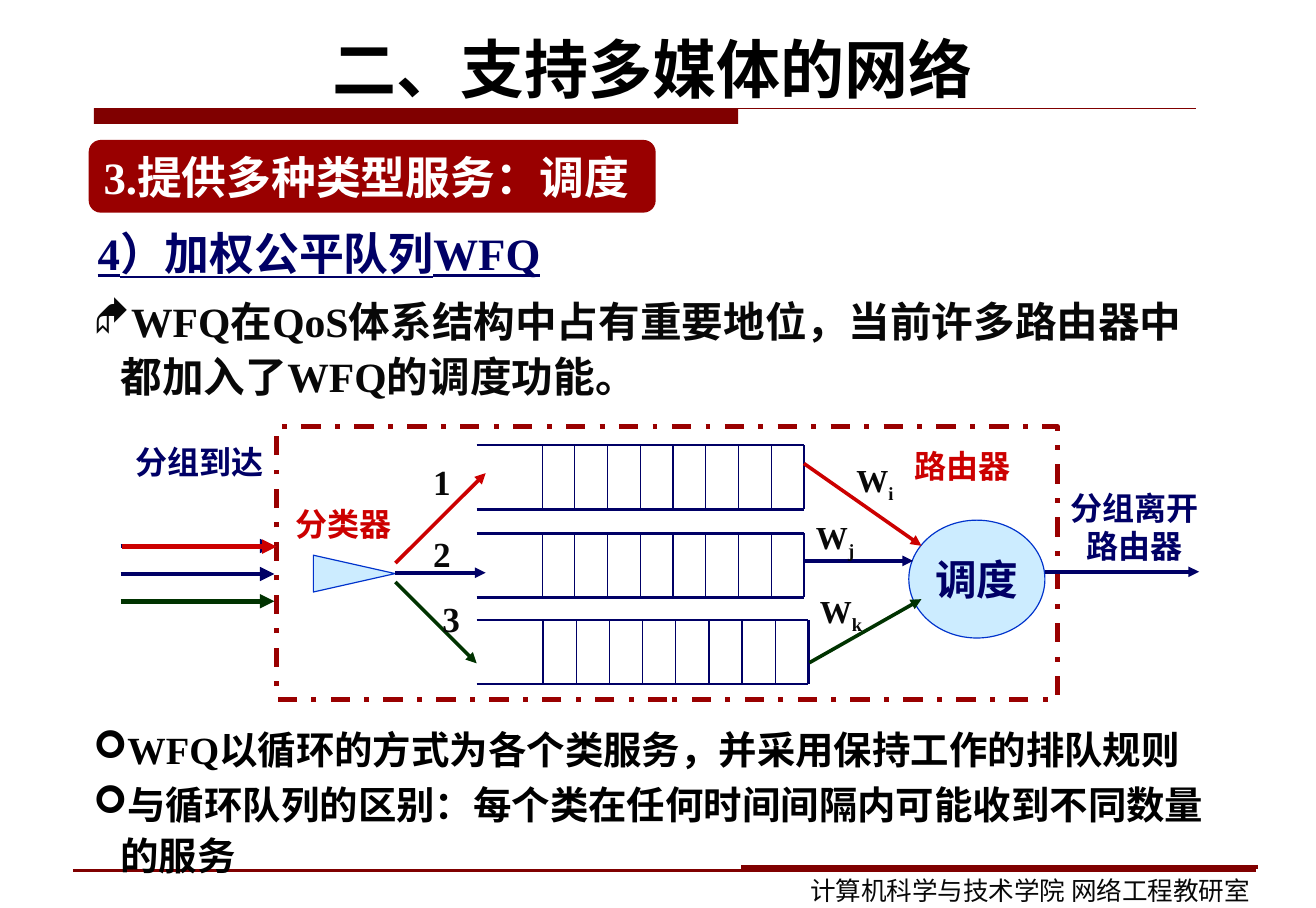
from pptx import Presentation
from pptx.dml.color import RGBColor
from pptx.enum.dml import MSO_LINE
from pptx.enum.shapes import MSO_CONNECTOR, MSO_SHAPE
from pptx.enum.text import MSO_ANCHOR, MSO_AUTO_SIZE, PP_ALIGN
from pptx.oxml.ns import qn
from pptx.util import Pt
from lxml import etree

LEFT, CENTER = PP_ALIGN.LEFT, PP_ALIGN.CENTER
MIDDLE = MSO_ANCHOR.MIDDLE
FIT, FIXED = MSO_AUTO_SIZE.SHAPE_TO_FIT_TEXT, MSO_AUTO_SIZE.NONE
STRAIGHT = MSO_CONNECTOR.STRAIGHT
RECT, ROUND = MSO_SHAPE.RECTANGLE, MSO_SHAPE.ROUNDED_RECTANGLE
OVAL, WEDGE = MSO_SHAPE.OVAL, MSO_SHAPE.ISOSCELES_TRIANGLE
DASH = MSO_LINE.DASH_DOT


class Theme:
    serif, sans, signs = "Times New Roman", "Arial", "Wingdings"
    black, ink, white = "000000", "080808", "FFFFFF"
    navy, red, green = "000066", "CC0000", "003300"
    rule, brick, sky, blue = "800000", "990000", "CCECFF", "0033CC"
    title, head, lead, body, digit, label, foot = 40, 28, 26, 24, 22, 20, 16
    thin, mid, arrow, thick = 0.75, 1.5, 2.25, 3


T = Theme

# Content
WIDE, TALL = 822.05, 566.93
TITLE = "二、支持多媒体的网络"
BANNER = "3.提供多种类型服务：调度"
HEAD = "4）加权公平队列WFQ"
LEAD = ["WFQ在QoS体系结构中占有重要地位，当前许多路由器中都加入了WFQ的调度功能。"]
NOTES = ["WFQ以循环的方式为各个类服务，并采用保持工作的排队规则",
         "与循环队列的区别：每个类在任何时间间隔内可能收到不同数量的服务"]
FOOT = "计算机科学与技术学院 网络工程教研室"
SERVER = "调度"

# Labels: text, left, top, width, height, colour
LABELS = [("分组到达", 76.3, 272.5, 96.5, 31.7, T.navy),
          ("分类器", 166.3, 311.3, 96.5, 31.7, T.red),
          ("路由器", 553, 275.3, 96.5, 31.7, T.red),
          ("分组离开路由器", 660.5, 301.3, 96.5, 55.4, T.navy)]
DIGITS = [("1", 263.5, 284), ("2", 263.5, 329), ("3", 269.3, 369.6)]
WEIGHTS = [("i", 527.8, 284), ("j", 502.6, 319.7), ("k", 505, 366)]

# Queues: top, right end
QUEUES = [(278, 502.2), (333, 502.2), (387, 505)]
Q_LEFT, Q_TALL, SLOTS, BARS = 297.8, 40, 10, 8

# Arrows: x1, y1, x2, y2, colour, width
ARROWS = [(75.4, 340.9, 171.4, 340.9, T.navy, T.thick),
          (76.3, 341.3, 172.8, 341.3, T.red, T.thick),
          (75.4, 358.4, 171.4, 358.4, T.navy, T.thick),
          (75.4, 375.4, 171.4, 375.4, T.green, T.thick),
          (247, 351.6, 303.4, 295.4, T.red, T.arrow),
          (247, 357.6, 303.4, 357.6, T.navy, T.arrow),
          (247, 363.4, 297.8, 414.2, T.green, T.arrow),
          (502.2, 289.4, 575.6, 340.8, T.red, T.arrow),
          (502.2, 350.2, 570.4, 350.2, T.navy, T.arrow),
          (505.6, 413.8, 575.6, 374.1, T.green, T.arrow),
          (652.6, 357, 749, 357, T.navy, T.arrow)]

# Rules: x1, y1, x2, y2, width
RULES = [(58.6, 67.7, 746.8, 67.7, T.thin),
         (45.6, 543.5, 784.3, 543.5, T.mid),
         (463, 541.2, 785.8, 541.2, T.arrow)]

deck = Presentation()
deck.slide_width, deck.slide_height = Pt(WIDE), Pt(TALL)
slide = deck.slides.add_slide(deck.slide_layouts[5])
shapes = slide.shapes


def rgb(code):
    return RGBColor.from_string(code)


def style(par, size, color, face=T.serif, bold=True, align=LEFT, before=0):
    font = par.font
    font.size, font.name, font.bold = Pt(size), face, bold
    font.color.rgb = rgb(color)
    par.alignment, par.space_before = align, Pt(before)


def line(x1, y1, x2, y2, color, width, head=False):
    link = shapes.add_connector(STRAIGHT, Pt(x1), Pt(y1), Pt(x2), Pt(y2))
    link.line.color.rgb, link.line.width = rgb(color), Pt(width)
    props = link._element.spPr
    if head:
        etree.SubElement(props.find(qn("a:ln")), qn("a:tailEnd"), type="triangle")
    etree.SubElement(props, qn("a:effectLst"))


def shape(kind, x, y, w, h, fill=None, edge=None, width=T.thin):
    item = shapes.add_shape(kind, Pt(x), Pt(y), Pt(w), Pt(h))
    item.shadow.inherit = False
    if fill:
        item.fill.solid()
        item.fill.fore_color.rgb = rgb(fill)
    else:
        item.fill.background()
    if edge:
        item.line.color.rgb, item.line.width = rgb(edge), Pt(width)
    else:
        item.line.fill.background()
    return item


def box(words, x, y, w, h):
    frame = shapes.add_textbox(Pt(x), Pt(y), Pt(w), Pt(h)).text_frame
    frame.word_wrap, frame.auto_size = True, FIT
    frame.text = words
    return frame.paragraphs


def text(words, x, y, w, h, size, color, **look):
    par = box(words, x, y, w, h)[0]
    style(par, size, color, **look)
    return par


def bullets(items, x, y, w, h, size, color, mark, before):
    for par in box("\n".join(items), x, y, w, h):
        style(par, size, color, before=before)
        par.line_spacing = 1.1
        props = par._p.get_or_add_pPr()
        props.set("marL", str(Pt(17)))
        props.set("indent", str(-Pt(17)))
        tint = etree.Element(qn("a:buClr"))
        etree.SubElement(tint, qn("a:srgbClr"), val=color)
        face = etree.Element(qn("a:buFont"), typeface=T.signs)
        sign = etree.Element(qn("a:buChar"), char=mark)
        for part in (tint, face, sign):
            props.find(qn("a:defRPr")).addprevious(part)


# Title and rules
title = shapes.title
title.left, title.top, title.width, title.height = Pt(44.2), Pt(2.2), Pt(727.2), Pt(80)
title.text_frame.text = TITLE
title.text_frame.auto_size = FIXED
title.text_frame.vertical_anchor = MIDDLE
style(title.text_frame.paragraphs[0], T.title, T.black, align=CENTER)
shape(RECT, 58.6, 67.7, 402.5, 9.6, T.rule)
for x1, y1, x2, y2, width in RULES:
    line(x1, y1, x2, y2, T.rule, width)

# Banner, heading and text
banner = shape(ROUND, 55.4, 87.4, 354.2, 45.4, T.brick)
banner.text_frame.text = BANNER
banner.text_frame.word_wrap = False
style(banner.text_frame.paragraphs[0], T.head, T.white)
head = text(HEAD, 54, 134, 737.3, 44.6, T.head, T.navy, before=7)
head.line_spacing, head.font.underline = 1.1, True
bullets(LEAD, 51.2, 178, 720, 76.3, T.lead, T.ink, "◆", 3.3)
bullets(NOTES, 51.2, 446.8, 720, 105.1, T.body, T.black, "➢", 3)
text(FOOT, 499, 542.5, 302.4, 26.6, T.foot, T.ink,
     face=T.sans, bold=False, before=10)

# Router frame, sorter and server
frame = shape(RECT, 172.9, 266.5, 487.8, 170.4, edge=T.brick, width=T.thick)
frame.line.dash_style = DASH
wedge = shape(WEDGE, 209.8, 332.6, 23, 51.1, T.sky, T.blue)
wedge.rotation = 90
server = shape(OVAL, 567.7, 324.8, 85, 73.6, T.sky, T.blue)
server.text_frame.text = SERVER
server.text_frame.word_wrap = False
style(server.text_frame.paragraphs[0], T.lead, T.navy, face=T.sans, align=CENTER)

# Queues
for top, right in QUEUES:
    low = top + Q_TALL
    step = (right - Q_LEFT) / SLOTS
    for y in (top, low):
        line(Q_LEFT, y, right, y, T.navy, T.mid)
    for i in range(BARS + 1):
        x = right - i * step
        line(x, top, x, low, T.navy, T.thin if i else T.mid)

# Arrows
for arrow in ARROWS:
    line(*arrow, head=True)

# Labels
for words, x, y, w, h, color in LABELS:
    text(words, x, y, w, h, T.label, color, face=T.sans, align=CENTER, before=12.5)
for words, x, y in DIGITS:
    text(words, x, y, 28, 33.8, T.digit, T.ink, before=13.8)
for sub, x, y in WEIGHTS:
    par = text("W", x, y, 51, 34.6, T.label, T.ink, before=12.5)
    run = par.add_run()
    run.text = sub
    run._r.get_or_add_rPr().set("baseline", "-25000")

deck.save("out.pptx")
